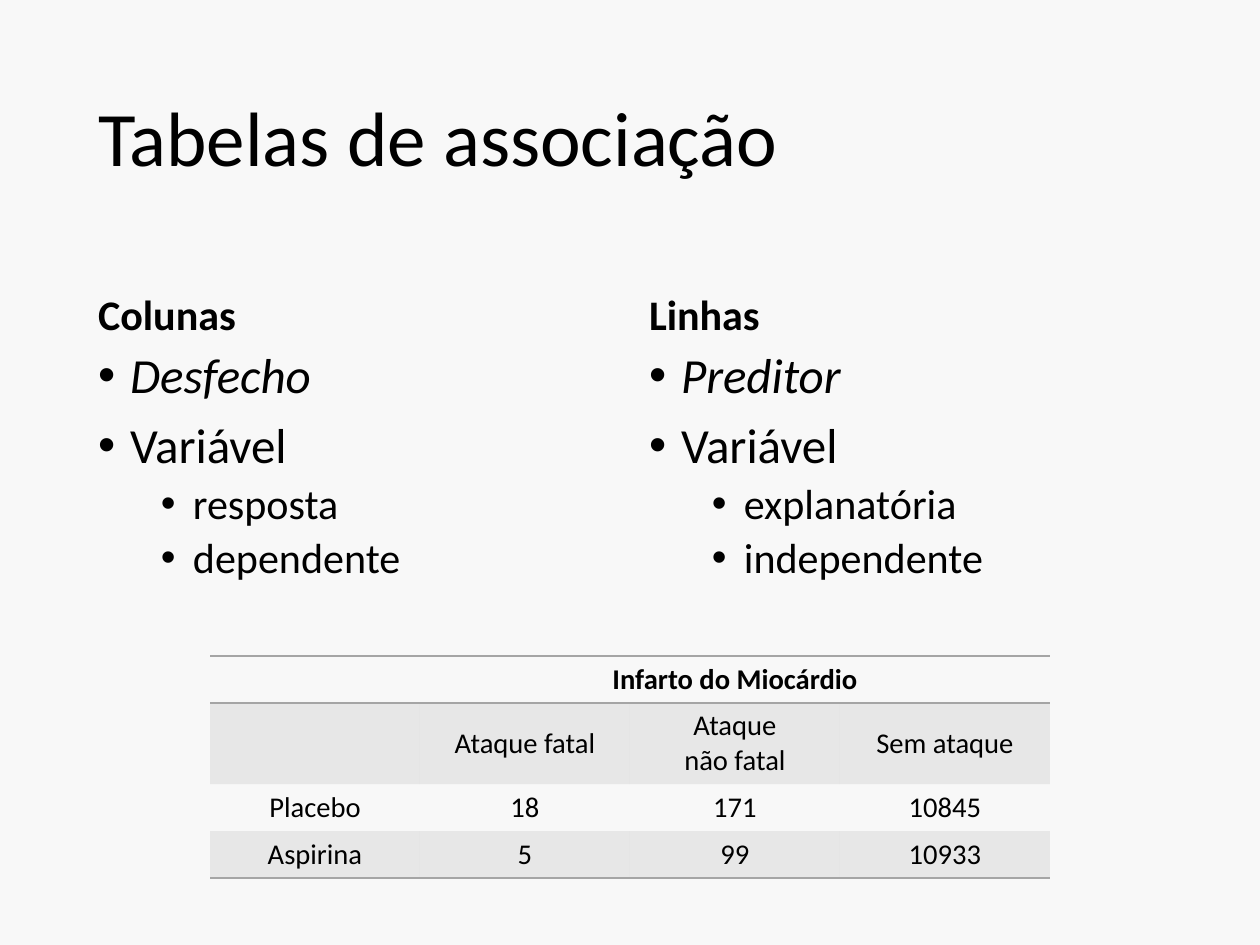
"""Build the slide on association tables, with two text columns and a data table."""
from dataclasses import dataclass

from lxml.etree import SubElement
from pptx import Presentation
from pptx.dml.color import RGBColor
from pptx.enum.text import MSO_ANCHOR, MSO_AUTO_SIZE, PP_ALIGN
from pptx.oxml import parse_xml
from pptx.oxml.ns import nsdecls, qn
from pptx.slide import Slide
from pptx.table import _Cell
from pptx.util import Inches, Pt

FONT = "Calibri"
COLORS = {"background": "F8F8F8", "text": "000000", "rule": "A5A5A5"}
CM_PER_INCH = 2.54
PAGE_WIDTH = 28 / CM_PER_INCH
PAGE_HEIGHT = 21 / CM_PER_INCH
TABLE_ROWS = [
    ["", "Infarto do Miocárdio", "", ""],
    ["", "Ataque fatal", "Ataque\nnão fatal", "Sem ataque"],
    ["Placebo", "18", "171", "10845"],
    ["Aspirina", "5", "99", "10933"],
]
ROW_HEIGHT = 0.41
COLUMN_WIDTH = PAGE_WIDTH / 6
SHADED_ROWS = (1, 3)
RULED_SIDES = {0: "TB", 1: "T", 3: "B"}


@dataclass
class Line:
    """One paragraph and its look."""

    text: str
    size: float
    before: float = 0
    bold: bool = False
    italic: bool = False
    indent: float = 0


@dataclass
class TextColumn:
    """A heading with its bulleted points."""

    left: float
    width: float
    heading: str
    concept: str
    kinds: tuple[str, str]


COLUMNS = [
    TextColumn(0.76, 4.66, "Colunas", "Desfecho", ("resposta", "dependente")),
    TextColumn(5.58, 4.69, "Linhas", "Preditor", ("explanatória", "independente")),
]


def style_font(font, size: float, bold: bool = False, italic: bool = False) -> None:
    """Set the typeface, size, weight and colour."""
    font.name, font.size = FONT, Pt(size)
    font.bold, font.italic = bold, italic
    font.color.rgb = RGBColor.from_string(COLORS["text"])


def add_text(page: Slide, left: float, top: float, width: float, height: float,
             anchor: MSO_ANCHOR, lines: list[Line]) -> None:
    """Add a text box holding the given lines."""
    box = page.shapes.add_textbox(Inches(left), Inches(top), Inches(width), Inches(height))
    frame = box.text_frame
    frame.word_wrap = True
    frame.auto_size = MSO_AUTO_SIZE.NONE
    frame.vertical_anchor = anchor
    frame.text = "\n".join(line.text for line in lines)
    for para, line in zip(frame.paragraphs, lines):
        para.line_spacing = 0.9
        para.space_before = Pt(line.before)
        if line.indent:
            add_bullet(para, line.indent)
        for span in para.runs:
            style_font(span.font, line.size, line.bold, line.italic)


def add_bullet(para, indent: float) -> None:
    """Give a paragraph a hanging bullet."""
    properties = para._p.get_or_add_pPr()
    properties.set("marL", str(Inches(indent)))
    properties.set("indent", str(Inches(-0.28)))
    SubElement(properties, qn("a:buFont"), typeface="Arial")
    SubElement(properties, qn("a:buChar"), char="•")


def add_column(page: Slide, column: TextColumn) -> None:
    """Add a heading and the points below it."""
    points = [
        Line(column.concept, 30.9, 11, italic=True, indent=0.28),
        Line("Variável", 30.9, 11, indent=0.28),
        *(Line(kind, 26.5, 5.5, indent=0.83) for kind in column.kinds),
    ]
    heading = [Line(column.heading, 26.5, 11, bold=True)]
    add_text(page, column.left, 2.03, column.width, 0.99, MSO_ANCHOR.BOTTOM, heading)
    add_text(page, column.left, 3.02, column.width, 4.44, MSO_ANCHOR.TOP, points)


def style_cell(cell: _Cell, row: int) -> None:
    """Set the text, fill and borders of a cell by its row."""
    cell.vertical_anchor = MSO_ANCHOR.MIDDLE
    for para in cell.text_frame.paragraphs:
        para.alignment = PP_ALIGN.CENTER
        for span in para.runs:
            style_font(span.font, 18, bold=row == 0)
    properties = cell._tc.get_or_add_tcPr()
    if row in SHADED_ROWS:
        cell.fill.solid()
        cell.fill.fore_color.rgb = RGBColor.from_string(COLORS["rule"])
        shade = properties.find(".//" + qn("a:srgbClr"))
        SubElement(shade, qn("a:alpha"), val="20000")
    else:
        cell.fill.background()
    for place, side in enumerate("LRTB"):
        paint = "<a:noFill/>"
        if side in RULED_SIDES.get(row, ""):
            paint = f'<a:solidFill><a:srgbClr val="{COLORS["rule"]}"/></a:solidFill>'
        border = f'<a:ln{side} {nsdecls("a")} w="{Pt(1)}">{paint}</a:ln{side}>'
        properties.insert(place, parse_xml(border))


def add_data_table(page: Slide) -> None:
    """Add the table of outcomes by treatment."""
    count = len(TABLE_ROWS[0])
    table = page.shapes.add_table(
        len(TABLE_ROWS), count, Inches(COLUMN_WIDTH), Inches(5.74),
        Inches(COLUMN_WIDTH * count), Inches(ROW_HEIGHT * len(TABLE_ROWS))).table
    table.first_row = table.horz_banding = False
    for row, texts in enumerate(TABLE_ROWS):
        for column, text in enumerate(texts):
            cell = table.cell(row, column)
            cell.text = text
            style_cell(cell, row)
    table.cell(0, 1).merge(table.cell(0, count - 1))


def main() -> None:
    """Build and save the deck."""
    deck = Presentation()
    deck.slide_width, deck.slide_height = Inches(PAGE_WIDTH), Inches(PAGE_HEIGHT)
    page = deck.slides.add_slide(deck.slide_layouts[6])
    page.background.fill.solid()
    page.background.fill.fore_color.rgb = RGBColor.from_string(COLORS["background"])
    title = [Line("Tabelas de associação", 48.5)]
    add_text(page, 0.76, 0.44, 9.51, 1.6, MSO_ANCHOR.MIDDLE, title)
    for column in COLUMNS:
        add_column(page, column)
    add_data_table(page)
    deck.save("out.pptx")


if __name__ == "__main__":
    main()
